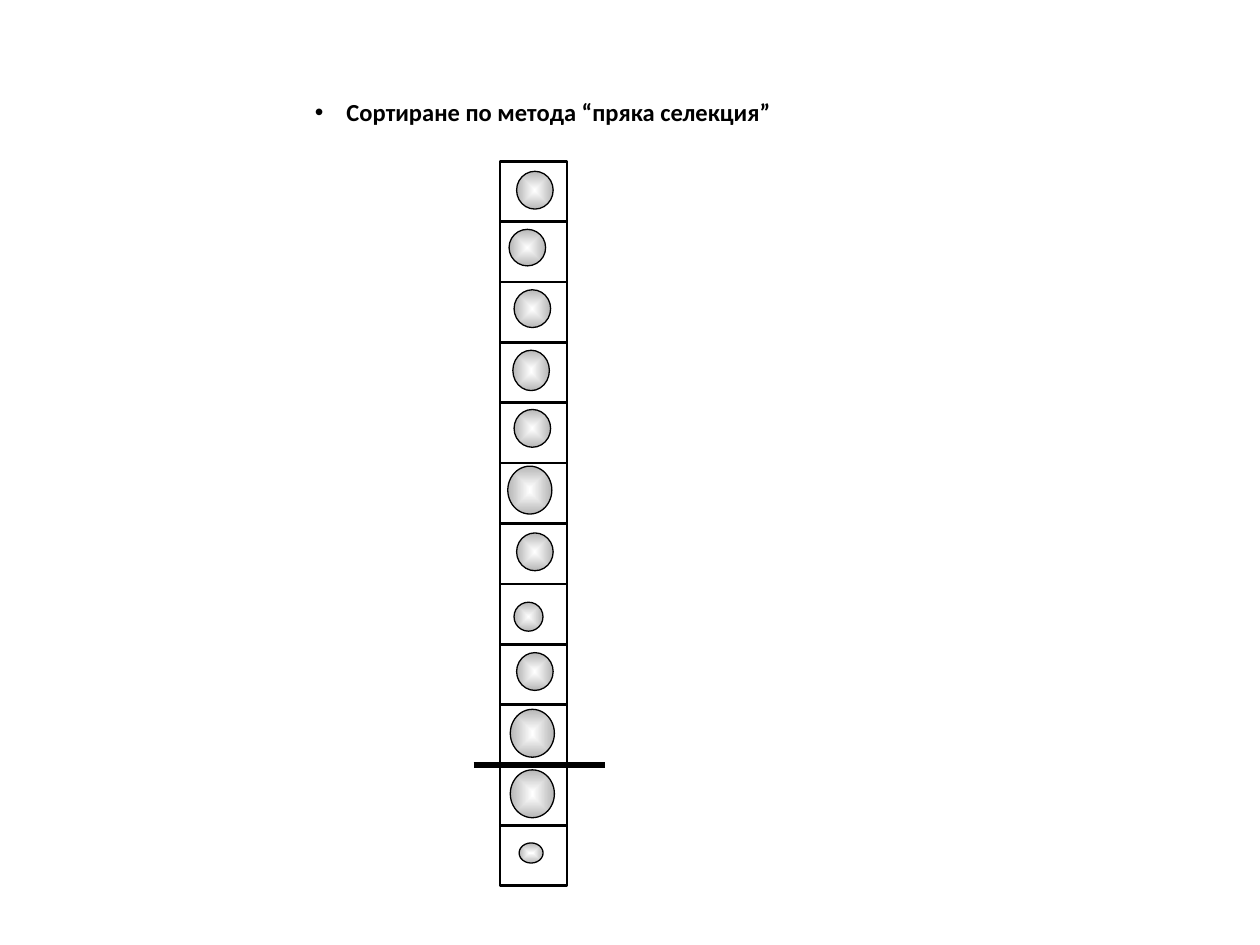
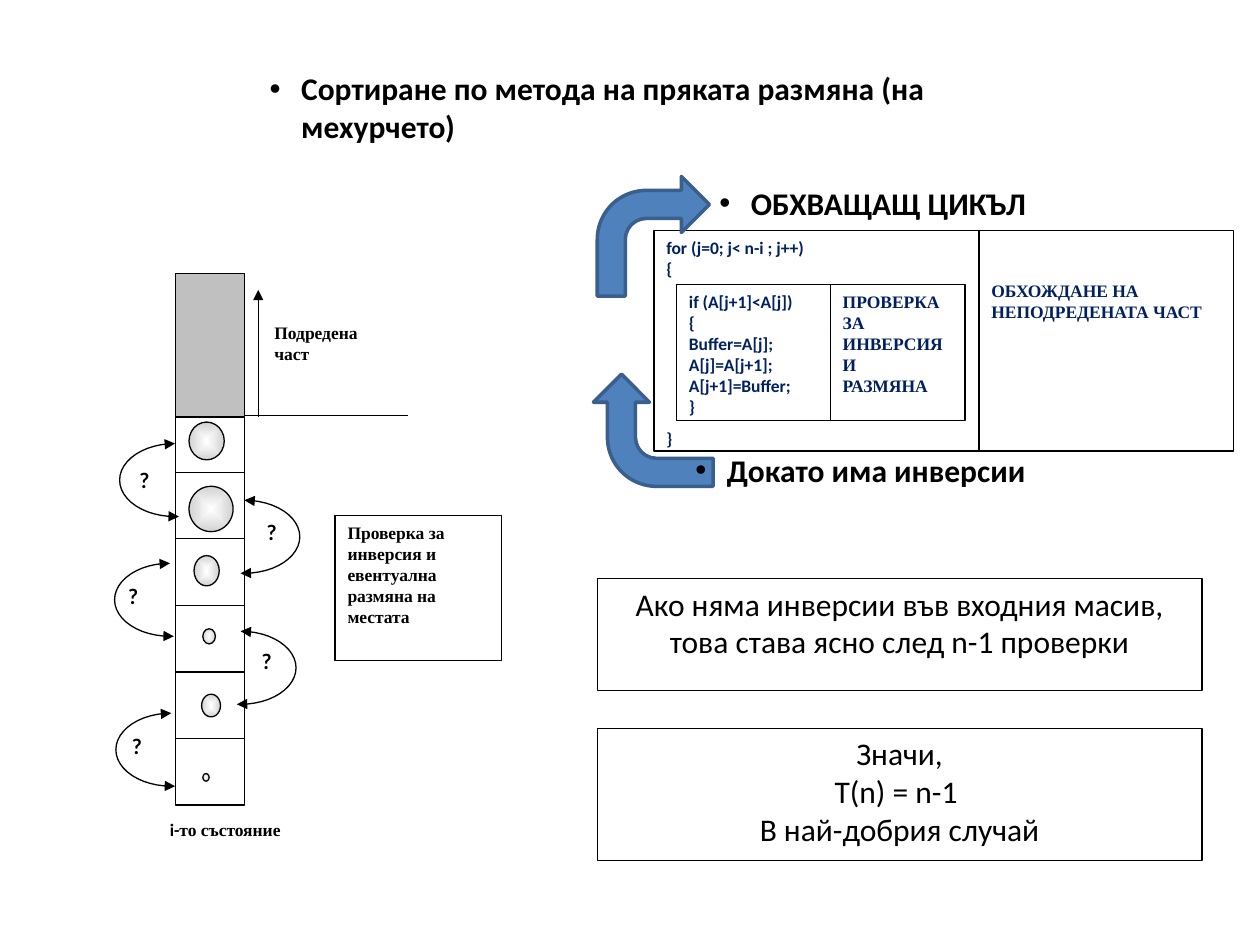
from math import cos, sin, pi
from lxml.etree import SubElement
from pptx import Presentation
from pptx.dml.color import RGBColor
from pptx.enum.shapes import MSO_CONNECTOR, MSO_SHAPE
from pptx.enum.text import MSO_ANCHOR, PP_ALIGN
from pptx.oxml import parse_xml
from pptx.oxml.ns import nsdecls, qn
from pptx.util import Inches, Pt

BLACK, WHITE, GREY = "000000", "FFFFFF", "C0C0C0"
NAVY, BLUE, EDGE = "002060", "4F81BD", "3A5F8C"
SANS, SERIF, MARK = "Calibri", "Times New Roman", "Lato"


def color(code):
    return RGBColor.from_string(code)


def place(box):
    return [Inches(value) for value in box]


def stroke(line, code, width):
    line.color.rgb = color(code)
    line.width = Pt(width)


def tips(shape, *ends):
    line = shape.line._get_or_add_ln()
    for end in ends:
        SubElement(line, qn("a:" + end), type="triangle")


def write(shape, *lines, font=SANS, size=10, code=BLACK, bold=True, align=PP_ALIGN.LEFT,
          top=0.05, left=0.1, low=0.05, gap=0, dot=False):
    frame = shape.text_frame
    frame.word_wrap = True
    frame.vertical_anchor = MSO_ANCHOR.TOP
    frame.margin_top, frame.margin_left = Inches(top), Inches(left)
    frame.margin_bottom = Inches(low)
    for index, line in enumerate(lines):
        para = frame.add_paragraph() if index else frame.paragraphs[0]
        para.alignment = align
        if gap and index == len(lines) - 1:
            para.space_before = Pt(gap)
        if dot:
            props = para._p.get_or_add_pPr()
            props.set("marL", str(Inches(1)))
            props.set("indent", str(Inches(-0.25)))
            SubElement(props, qn("a:buFont"), typeface="Arial")
            SubElement(props, qn("a:buChar"), char="•")
        for words, face in [(line, font)] if isinstance(line, str) else line:
            run = para.add_run()
            run.text = words
            run.font.name, run.font.size, run.font.bold = face, Pt(size), bold
            run.font.color.rgb = color(code)


def shape(slide, box, kind=MSO_SHAPE.RECTANGLE, fill=WHITE, line=BLACK, width=0.75):
    item = slide.shapes.add_shape(kind, *place(box))
    item.shadow.inherit = False
    item.fill.solid()
    item.fill.fore_color.rgb = color(fill)
    if line:
        stroke(item.line, line, width)
    else:
        item.line.fill.background()
    return item


def panel(slide, box, *lines, line=BLACK, **style):
    write(shape(slide, box, line=line), *lines, **style)


def ball(slide, box, rim):
    item = shape(slide, box, MSO_SHAPE.OVAL)
    props = item._element.spPr
    old = props.find(qn("a:solidFill"))
    props.replace(old, parse_xml(
        f'<a:gradFill {nsdecls("a")} rotWithShape="1"><a:gsLst>'
        f'<a:gs pos="0"><a:srgbClr val="{WHITE}"/></a:gs>'
        f'<a:gs pos="100000"><a:srgbClr val="{rim}"/></a:gs></a:gsLst>'
        '<a:path path="shape"><a:fillToRect l="50000" t="50000" r="50000" b="50000"/>'
        '</a:path></a:gradFill>'))


def column(slide, box, count, balls, rim, width):
    left, top, wide, high = box
    step = high / count
    for row in range(count):
        shape(slide, (left, top + row * step, wide, step), width=width)
    for x, y, w, h in balls:
        ball(slide, (left + x, top + y, w, h), rim)


def rule(slide, start, end, width=0.75):
    line = slide.shapes.add_connector(MSO_CONNECTOR.STRAIGHT, *place(start + end))
    stroke(line.line, BLACK, width)
    SubElement(line._element.spPr, qn("a:effectLst"))
    return line


def arc(slide, left, top, right):
    wide, high, tail, steps = 0.47, 0.58, 0.03, 24
    spots = []
    for step in range(steps + 1):
        turn = pi * (step / steps - 0.5)
        spots.append((tail + (wide - tail) * cos(turn), high / 2 * (1 + sin(turn))))
    spots.append((0, high))
    dots = [(Inches(left + (x if right else wide - x)), Inches(top + y)) for x, y in spots]
    path = slide.shapes.build_freeform(*dots[0])
    path.add_line_segments(dots[1:], close=False)
    item = path.convert_to_shape()
    item.shadow.inherit = False
    item.fill.background()
    stroke(item.line, BLACK, 0.75)
    tips(item, "headEnd", "tailEnd")


def heading(slide, box, text, size=18, top=0.17):
    item = slide.shapes.add_textbox(*place(box))
    write(item, text, size=size, top=top, left=0.5, low=0.04, dot=True)


def select(slide, box):
    left, top, wide, high = box
    mid, big = (0.29, 0.3), (0.35, 0.38)
    balls = [
        (0.13, 0.08, *mid), (0.07, 0.54, 0.29, 0.29), (0.11, 1.02, *mid),
        (0.1, 1.5, 0.29, 0.32), (0.11, 1.97, *mid), (0.06, 2.42, *big),
        (0.13, 2.95, *mid), (0.11, 3.5, 0.23, 0.23), (0.13, 3.9, *mid),
        (0.08, 4.35, *big), (0.08, 4.83, *big), (0.15, 5.41, 0.19, 0.16)]
    column(slide, box, 12, balls, "B6B6B6", 1.5)
    level = top + high * 10 / 12
    rule(slide, (left - 0.21, level), (left + wide + 0.3, level), 3)


def bubble(slide, box):
    left, top, wide, high = box
    panel(slide, (left + 0.69, top + 0.34, 1.16, 0.55), "Подредена част",
          font=SERIF, line=None)
    panel(slide, (left + 1.27, top + 1.92, 1.32, 1.15),
          "Проверка за инверсия и евентуална размяна на местата", font=SERIF)
    rule(slide, (left, top + 1.13), (left + 1.85, top + 1.13))
    marks = [(-0.38, 1.49), (-0.47, 2.41), (0.59, 2.93), (-0.44, 3.6), (0.63, 1.9)]
    for x, y in marks:
        panel(slide, (left + x, top + y, 0.33, 0.38), "?", font=MARK, size=12, line=None)
    balls = [
        (0.11, 0.13, 0.28, 0.3), (0.11, 0.64, 0.35, 0.36), (0.15, 1.19, 0.2, 0.24),
        (0.22, 1.77, 0.1, 0.12), (0.21, 2.29, 0.15, 0.18), (0.22, 2.92, 0.05, 0.06)]
    column(slide, (left, top + 1.05, wide, high - 1.05), 6, balls, "D2D2D2", 0.75)
    shape(slide, (left, top, wide, 1.14), fill=GREY)
    tips(rule(slide, (left + 0.66, top + 1.14), (left + 0.66, top + 0.13)), "tailEnd")
    arcs = [(0.52, 1.8, True), (0.49, 2.84, True),
            (-0.47, 3.49, False), (-0.48, 2.3, False), (-0.44, 1.35, False)]
    for x, y, right in arcs:
        arc(slide, left + x, top + y, right)
    note = slide.shapes.add_textbox(*place((left - 0.14, top + high + 0.06, 2.2, 0.35)))
    write(note, [("i-", SANS), ("то състояние", SERIF)])


def code(slide, box):
    left, top, wide, high = box
    split = 2.58
    panel(slide, (left, top, 3.28, high), "for (j=0; j< n-i ; j++)", "{", "}",
          code=NAVY, gap=85.4)
    panel(slide, (left + 0.18, top + 0.43, 1.23, 1.08), "if (A[j+1]<A[j])", "{",
          "Buffer=A[j];", "A[j]=A[j+1];", "A[j+1]=Buffer;", "}", code=NAVY)
    panel(slide, (left + 1.4, top + 0.43, 1.07, 1.08), "ПРОВЕРКА ЗА ИНВЕРСИЯ И",
          "РАЗМЯНА", font=SERIF, code=NAVY)
    panel(slide, (left + split, top, wide - split, high),
          "ОБХОЖДАНЕ НА НЕПОДРЕДЕНАТА ЧАСТ", font=SERIF, code=NAVY, top=0.39)
    heading(slide, (left - 0.73, top - 0.54, 3.95, 0.51), "ОБХВАЩАЩ ЦИКЪЛ")
    for y, turn in ((1.11, 270), (-0.43, 0)):
        arrow = shape(slide, (left - 0.45, top + y, 0.89, 0.95), MSO_SHAPE.BENT_ARROW,
                      BLUE, EDGE, 2)
        arrow.rotation = turn
    heading(slide, (left - 0.92, top + 1.58, 4.13, 0.51), "Докато има инверсии")


def notes(slide, box):
    left, top, wide, high = box
    style = dict(size=18, bold=False, align=PP_ALIGN.CENTER)
    panel(slide, (left, top, wide, 0.89),
          "Ако няма инверсии във входния масив, това става ясно след n-1 проверки", **style)
    panel(slide, (left, top + high - 1.05, wide, 1.05),
          "Значи,", "T(n) = n-1 ", "В най-добрия случай", **style)


deck = Presentation()
deck.slide_width, deck.slide_height = Inches(10), Inches(7.5)
blank = deck.slide_layouts[6]

first = deck.slides.add_slide(blank)
heading(first, (1.25, 0.6, 5.5, 0.74), "Сортиране по метода “пряка селекция”", size=14)
select(first, (3.97, 1.28, 0.53, 5.75))

second = deck.slides.add_slide(blank)
heading(second, (0.89, 0.55, 7.18, 0.74),
        "Сортиране по метода на пряката размяна (на мехурчето)", top=0)
bubble(second, (1.39, 2.17, 0.55, 4.22))
code(second, (5.19, 1.83, 4.6, 1.75))
notes(second, (4.74, 4.59, 4.8, 2.24))

deck.save("out.pptx")
